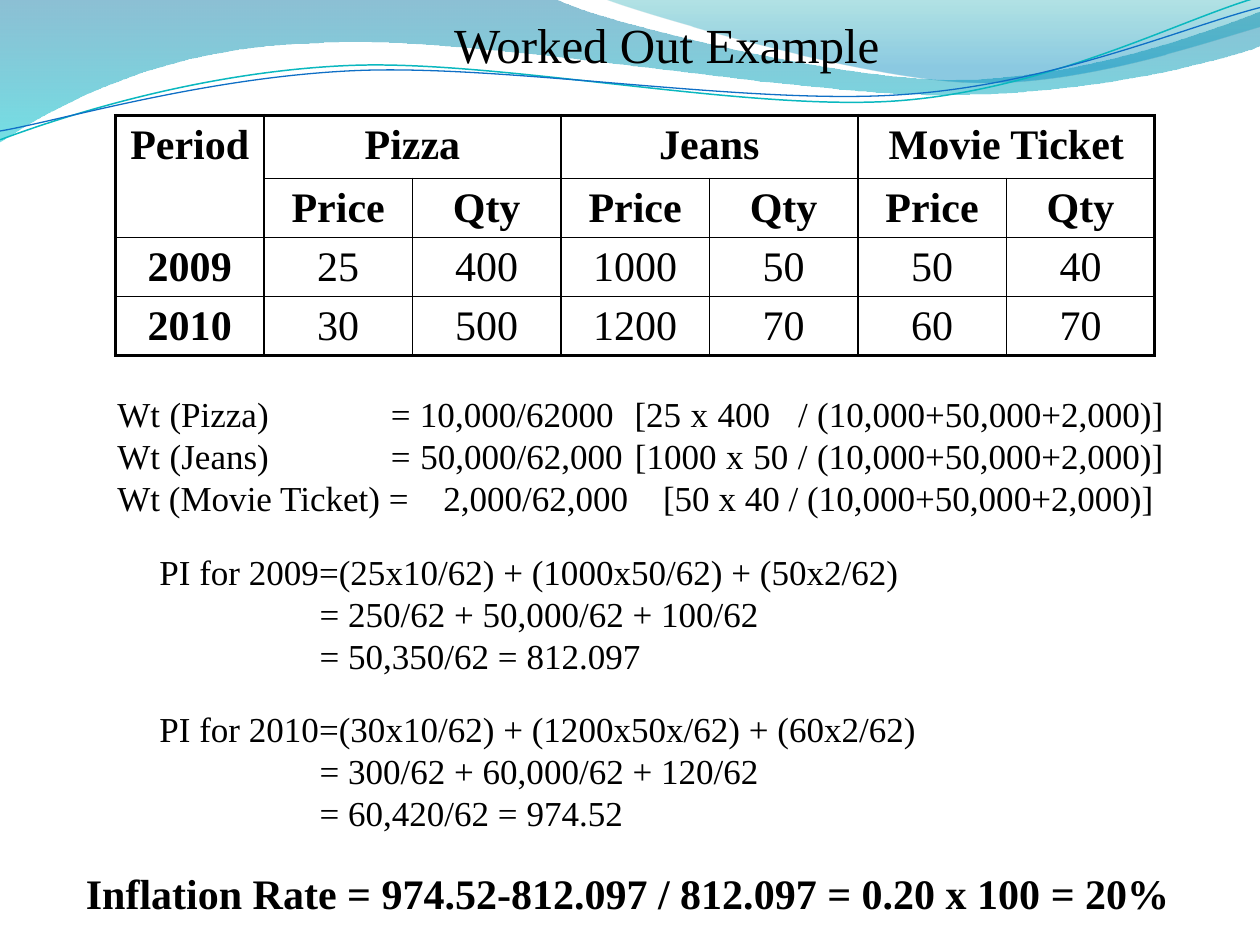
import math

import lxml.etree
import pptx
import pptx.dml.color
import pptx.enum.text
import pptx.oxml.ns
import pptx.util

Cm, Pt = pptx.util.Cm, pptx.util.Pt
ALIGN, ANCHOR = pptx.enum.text.PP_ALIGN, pptx.enum.text.MSO_ANCHOR
FONT = "Times New Roman"
COLORS = {
    "ink": "000000",
    "blue": "0074A1",
    "aqua": "00C6CF",
    "teal": "00A1A9",
    "sky": "008BBF",
    "line1": "0AB8BF",
    "line2": "0F6FC6",
}

# Wave outlines in inches: a start point, then straight (2 numbers)
# or cubic (6 numbers) segments.
LEFT = [(0, 0), (4.4, -0.01), (4.76, 0.17, 6.64, 0.63, 7.58, 0.63),
        (8.53, 0.63, 9.58, 0.26, 10, 0.09), (10.01, 0.36),
        (9.83, 0.44, 8.7, 0.76, 7.46, 0.75), (6.22, 0.75, 3.82, 0.28, 2.57, 0.34),
        (1.29, 0.36, 0.46, 0.83, -0.01, 1.13)]
RIGHT = [(4.79, -0.01), (5.09, 0.11, 6.82, 0.62, 7.69, 0.65),
         (8.56, 0.69, 9.61, 0.32, 10, 0.21), (10, 0)]
CURVE1 = [(0, 1.11), (0.48, 0.93, 1.58, 0.57, 2.77, 0.52),
          (3.95, 0.47, 5.93, 0.89, 7.13, 0.8), (8.33, 0.71, 9.38, 0.15, 9.98, -0.02)]
CURVE2 = [(0, 1.04), (0.47, 0.96, 1.64, 0.61, 2.83, 0.56),
          (4.03, 0.51, 5.97, 0.84, 7.17, 0.75), (8.36, 0.67, 9.41, 0.21, 10, 0.06)]
TILT = -2.7

ROWS = [
    ["Period", "Pizza", "", "Jeans", "", "Movie Ticket", ""],
    [""] + ["Price", "Qty"] * 3,
    ["2009", "25", "400", "1000", "50", "50", "40"],
    ["2010", "30", "500", "1200", "70", "60", "70"],
]

WEIGHTS = [
    "Wt (Pizza)\t= 10,000/62000\t[25 x 400\t/ (10,000+50,000+2,000)]",
    "Wt (Jeans)\t= 50,000/62,000\t[1000 x 50 / (10,000+50,000+2,000)]",
    "Wt (Movie Ticket) =\t2,000/62,000\t\t[50 x 40 / (10,000+50,000+2,000)]",
]
# Top of each block, in twelfths of an inch, and its lines.
INDEX = {
    66: ["PI for 2010=(30x10/62) + (1200x50x/62) + (60x2/62)",
         "\t= 300/62 + 60,000/62 + 120/62", "\t= 60,420/62 = 974.52"],
    51: ["PI for 2009=(25x10/62) + (1000x50/62) + (50x2/62)",
         "\t= 250/62 + 50,000/62 + 100/62", "\t= 50,350/62 = 812.097"],
}


def inch(num):
    return Cm(2.54 * num)


def place(*box):
    """Turn twelfths of an inch into lengths."""
    return [inch(num / 12) for num in box]


def color(name):
    return pptx.dml.color.RGBColor.from_string(COLORS[name])


def node(parent, tag, **attrs):
    return lxml.etree.SubElement(parent, pptx.oxml.ns.qn(tag), attrs)


def turn(segs, angle, mid=(4.99, 0.58)):
    """Rotate an outline clockwise about a point."""
    cos, sin = math.cos(math.radians(angle)), math.sin(math.radians(angle))
    out = []
    for seg in segs:
        flat = []
        for x, y in zip(seg[::2], seg[1::2]):
            dx, dy = x - mid[0], y - mid[1]
            flat += [mid[0] + dx * cos - dy * sin, mid[1] + dx * sin + dy * cos]
        out.append(flat)
    return out


def add_path(slide, segs, close):
    """Draw an outline, turning its six-number segments into true curves."""
    ends = [(inch(seg[-2]), inch(seg[-1])) for seg in segs]
    form = slide.shapes.build_freeform(*ends[0])
    form.add_line_segments(ends[1:], close=close)
    shape = form.convert_to_shape()
    shape.shadow.inherit = False
    for line, seg in zip(shape.element.spPr.xpath(".//a:lnTo"), segs[1:]):
        if len(seg) == 6:
            curve = lxml.etree.Element(pptx.oxml.ns.qn("a:cubicBezTo"))
            for x, y in zip(seg[::2], seg[1::2]):
                node(curve, "a:pt", x=str(inch(x) - shape.left), y=str(inch(y) - shape.top))
            line.getparent().replace(line, curve)
    return shape


def add_wave(slide, segs, stops):
    """Draw a filled wave; stops are (position, color, opacity percent)."""
    shape = add_path(slide, segs, True)
    shape.line.fill.background()
    shape.fill.gradient()
    shape.fill.gradient_angle = 270
    for stop, (pos, name, alpha) in zip(shape.fill.gradient_stops, stops):
        stop.position = pos
        stop.color.rgb = color(name)
    for rgb, (pos, name, alpha) in zip(shape.element.spPr.xpath(".//a:srgbClr"), stops):
        node(rgb, "a:alpha", val=str(alpha * 1000))


def add_curve(slide, segs, name, width):
    shape = add_path(slide, turn(segs, -TILT), False)
    shape.rotation = TILT
    shape.fill.background()
    shape.line.color.rgb = color(name)
    shape.line.width = Pt(width)


def add_run(para, text, size, bold=False):
    run = para.add_run()
    run.text = text
    run.font.name = FONT
    run.font.size = Pt(size)
    run.font.bold = bold
    run.font.color.rgb = color("ink")


def add_text(slide, box, lines, size, bold=False, align=ALIGN.LEFT, tabs=()):
    """Add a bottom-anchored paragraph; tabs are stops in cm."""
    frame = slide.shapes.add_textbox(*place(*box)).text_frame
    frame.word_wrap = True
    frame.vertical_anchor = ANCHOR.BOTTOM
    para = frame.paragraphs[0]
    para.alignment = align
    if tabs:
        stops = node(para._p.get_or_add_pPr(), "a:tabLst")
        for tab in tabs:
            node(stops, "a:tab", pos=str(Cm(tab)), algn="l")
    for i, text in enumerate(lines):
        if i:
            para.add_line_break()
        add_run(para, text, size, bold)
    return frame


def set_edges(cell, widths):
    """Set left, right, top and bottom borders, in points."""
    props = cell._tc.get_or_add_tcPr()
    for i, (side, width) in enumerate(zip("LRTB", widths)):
        line = node(props, "a:ln" + side, w=str(Pt(width)))
        node(node(line, "a:solidFill"), "a:srgbClr", val=COLORS["ink"])
        props.insert(i, line)


def add_grid(slide):
    rows, cols = len(ROWS), len(ROWS[0])
    table = slide.shapes.add_table(rows, cols, *place(11, 11, 99, 23)).table
    table.first_row = table.horz_banding = False
    for i, row in enumerate(table.rows):
        row.height = Cm(1.19 if i else 1.27)
    table.cell(0, 0).merge(table.cell(1, 0))
    for c in range(1, cols, 2):
        table.cell(0, c).merge(table.cell(0, c + 1))
    for r, row in enumerate(ROWS):
        for c, text in enumerate(row):
            cell = table.cell(r, c)
            cell.fill.background()
            right = c + cell.span_width if cell.is_merge_origin else c + 1
            outer = (c == 0, right == cols, r == 0, r == rows - 1)
            set_edges(cell, [2.25 if edge else 1 for edge in outer])
            if text:
                para = cell.text_frame.paragraphs[0]
                para.alignment = ALIGN.CENTER
                para.line_spacing = Pt(26.5)
                add_run(para, text, 24, r < 2 or c == 0)


def main():
    deck = pptx.Presentation()
    deck.slide_width, deck.slide_height = inch(10), inch(7.5)
    slide = deck.slides.add_slide(deck.slide_layouts[6])
    add_wave(slide, LEFT, [(0, "blue", 45), (1, "aqua", 55)])
    add_wave(slide, RIGHT, [(0, "teal", 30), (0.8, "sky", 45)])
    add_curve(slide, CURVE1, "line1", 0.85)
    add_curve(slide, CURVE2, "line2", 0.75)

    title = add_text(slide, (14, 0, 99, 7), ["Worked Out Example"], 28, align=ALIGN.CENTER)
    title.margin_left = title.margin_right = title.margin_bottom = 0
    add_grid(slide)
    add_text(slide, (10, 36, 102, 14), WEIGHTS, 20, align=ALIGN.JUSTIFY,
             tabs=(5.5, 6.57, 10.4, 11, 13.67))
    for top, lines in INDEX.items():
        add_text(slide, (14, top, 98, 14), lines, 20, tabs=(3.23,))
    rate = "Inflation Rate = 974.52-812.097 / 812.097 = 0.20 x 100 = 20%"
    add_text(slide, (7, 78, 108, 10), [rate], 24, bold=True)
    deck.save("out.pptx")


if __name__ == "__main__":
    main()
